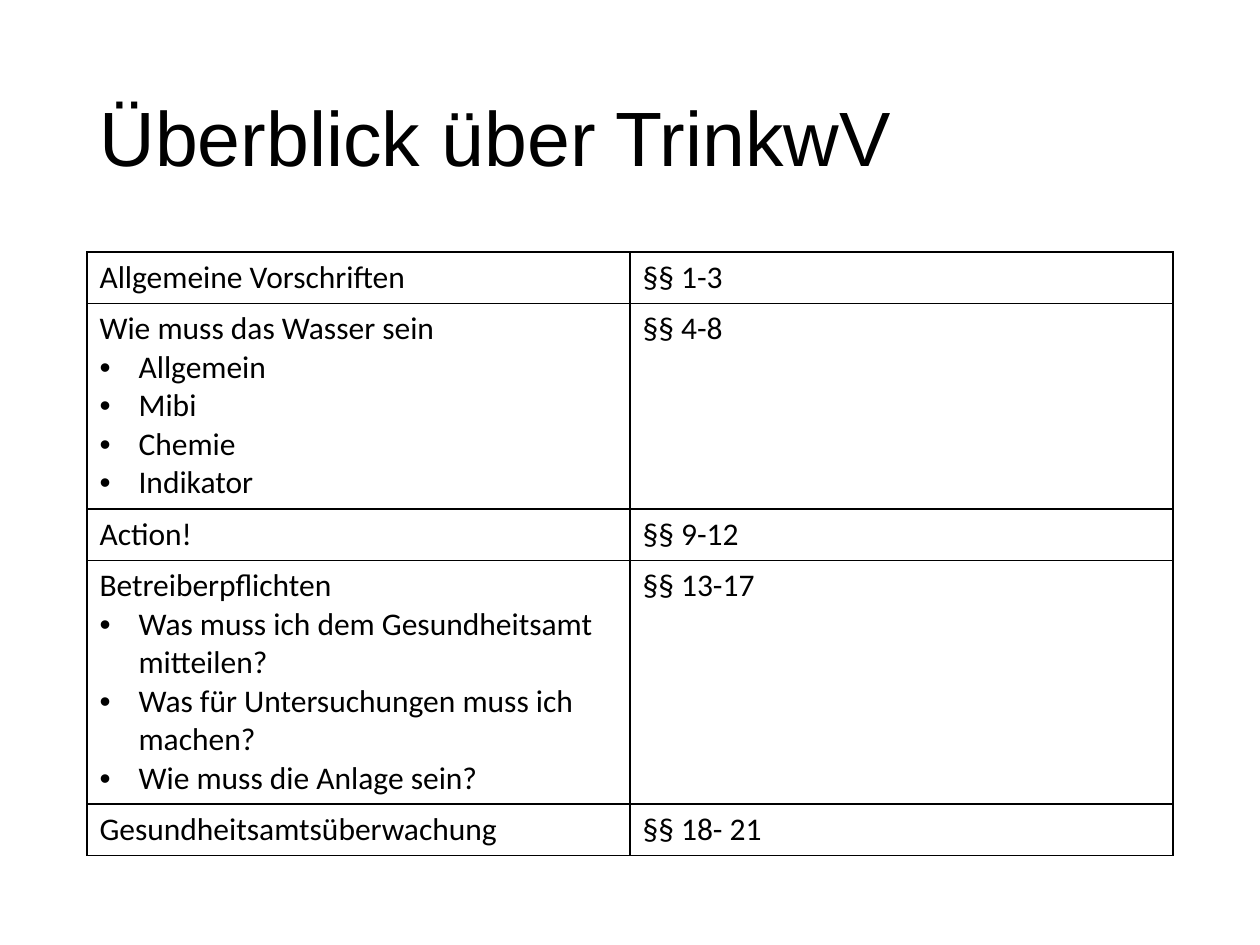
import pptx
import pptx.util
import pptx.dml.color
import pptx.enum.text
import pptx.oxml
import pptx.oxml.ns
from pptx.util import Inches

BLACK = pptx.dml.color.RGBColor(0, 0, 0)
LEFT, WIDTH = 0.69, 8.62
ROW_HEIGHTS = [0.41, 1.63, 0.41, 1.84, 0.41]
ROWS = [
    ("Allgemeine Vorschriften", [], "§§ 1-3"),
    ("Wie muss das Wasser sein", ["Allgemein", "Mibi", "Chemie", "Indikator"], "§§ 4-8"),
    ("Action!", [], "§§ 9-12"),
    ("Betreiberpflichten", [
        "Was muss ich dem Gesundheitsamt mitteilen?",
        "Was für Untersuchungen muss ich machen?",
        "Wie muss die Anlage sein?",
    ], "§§ 13-17"),
    ("Gesundheitsamtsüberwachung", [], "§§ 18- 21"),
]


def set_attributes(target, values):
    for name, value in values.items():
        setattr(target, name, value)


def add_run(p, text, font, size):
    r = p.add_run()
    r.text = text
    set_attributes(r.font, {"name": font, "size": pptx.util.Pt(size)})
    r.font.color.rgb = BLACK


def add_title(s, text):
    sp = s.shapes.title
    set_attributes(sp, {"left": Inches(LEFT), "top": Inches(0.4),
                        "width": Inches(WIDTH), "height": Inches(1.45)})
    tf = sp.text_frame
    set_attributes(tf, {"word_wrap": True,
                        "vertical_anchor": pptx.enum.text.MSO_ANCHOR.MIDDLE})
    p = tf.paragraphs[0]
    set_attributes(p, {"alignment": pptx.enum.text.PP_ALIGN.LEFT, "line_spacing": 0.9})
    add_run(p, text, "Arial", 44)


def add_bullet(p):
    pPr = p._p.get_or_add_pPr()
    pPr.set("marL", str(Inches(0.31)))
    pPr.set("indent", str(-Inches(0.31)))
    ns = pptx.oxml.ns.nsdecls("a")
    pPr.append(pptx.oxml.parse_xml(f'<a:buFont {ns} typeface="Arial"/>'))
    pPr.append(pptx.oxml.parse_xml(f'<a:buChar {ns} char="•"/>'))


def add_borders(cell):
    tcPr = cell._tc.get_or_add_tcPr()
    ns = pptx.oxml.ns.nsdecls("a")
    for i, side in enumerate(("lnL", "lnR", "lnT", "lnB")):
        tcPr.insert(i, pptx.oxml.parse_xml(
            f'<a:{side} {ns} w="{pptx.util.Pt(0.96)}"><a:solidFill>'
            f'<a:srgbClr val="{BLACK}"/></a:solidFill></a:{side}>'))


def fill_cell(cell, text, bullets=()):
    cell.fill.background()
    add_borders(cell)
    tf = cell.text_frame
    add_run(tf.paragraphs[0], text, "Calibri", 18)
    for bullet in bullets:
        p = tf.add_paragraph()
        add_bullet(p)
        add_run(p, bullet, "Calibri", 18)


def add_overview(s):
    table = s.shapes.add_table(len(ROWS), 2, Inches(LEFT), Inches(2), Inches(WIDTH),
                               Inches(sum(ROW_HEIGHTS))).table
    set_attributes(table, {"first_row": False, "horz_banding": False})
    for column in table.columns:
        column.width = Inches(WIDTH / 2)
    for row, height, (topic, bullets, sections) in zip(table.rows, ROW_HEIGHTS, ROWS):
        row.height = Inches(height)
        fill_cell(row.cells[0], topic, bullets)
        fill_cell(row.cells[1], sections)


def main():
    prs = pptx.Presentation()
    set_attributes(prs, {"slide_width": Inches(10), "slide_height": Inches(7.5)})
    s = prs.slides.add_slide(prs.slide_layouts[5])
    add_title(s, "Überblick über TrinkwV")
    add_overview(s)
    prs.save("out.pptx")


if __name__ == "__main__":
    main()
